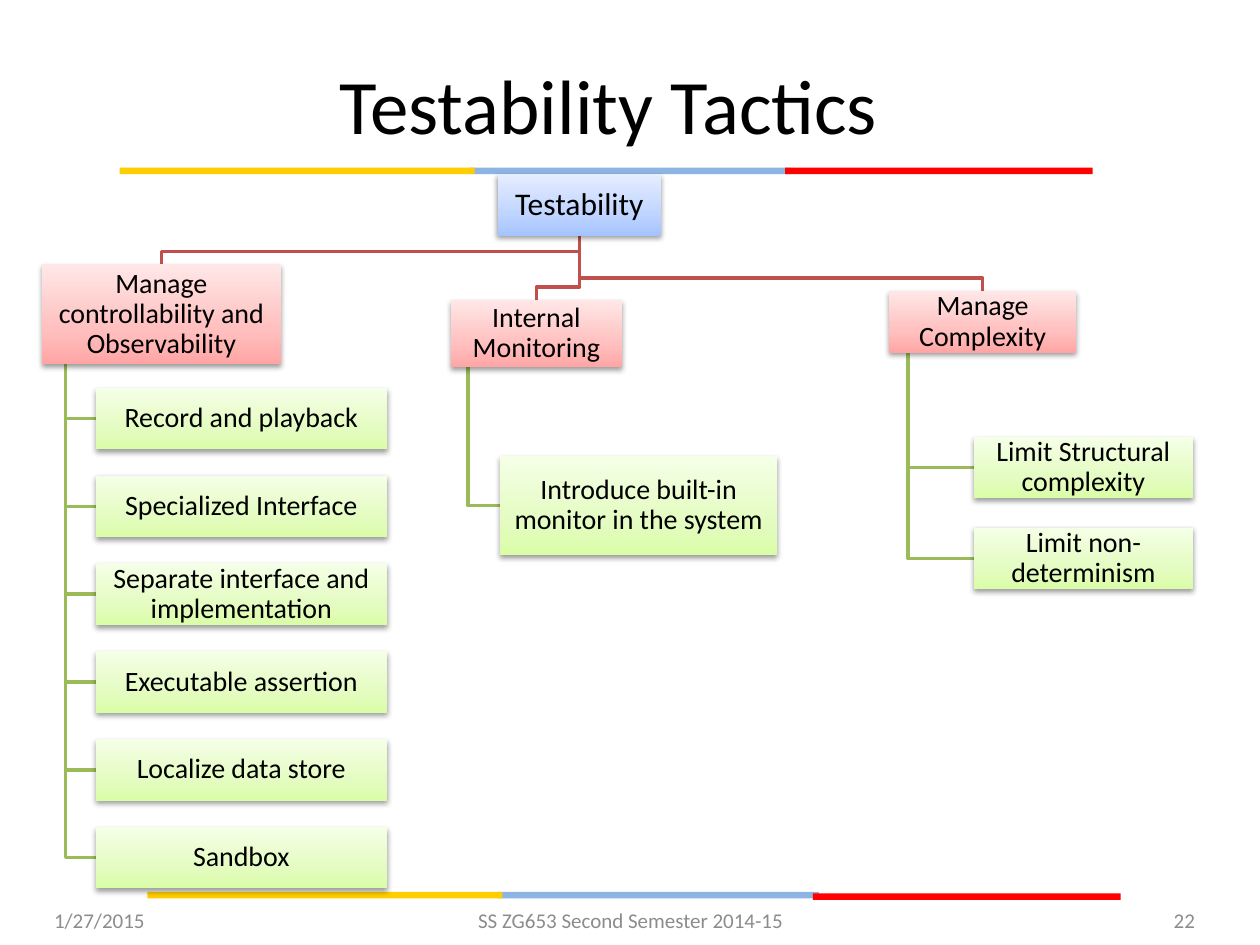
from lxml import etree
from pptx import Presentation
from pptx.dml.color import RGBColor
from pptx.enum.shapes import MSO_SHAPE
from pptx.enum.text import MSO_ANCHOR, PP_ALIGN
from pptx.util import Cm, Pt

RECT = MSO_SHAPE.RECTANGLE
MIDDLE = MSO_ANCHOR.MIDDLE
LEFT, CENTER, RIGHT = PP_ALIGN.LEFT, PP_ALIGN.CENTER, PP_ALIGN.RIGHT
NS = "http://schemas.openxmlformats.org/drawingml/2006/main"

BLUE = ("A4C4FF", "BFD4FF", "E6EEFF")
PINK = ("FFA6A5", "FFC0BF", "FFE7E7")
GREEN = ("DAFDA7", "E4FCC2", "F5FFE7")
BUS_GAP = 0.26

SHADOW = (f'<a:effectLst xmlns:a="{NS}"><a:outerShdw blurRad="40000" dist="20000" '
          'dir="5400000" rotWithShape="0"><a:srgbClr val="000000">'
          '<a:alpha val="38000"/></a:srgbClr></a:outerShdw></a:effectLst>')


def rgb(hex_colour):
    """Turn a hex string into a colour."""
    return RGBColor.from_string(hex_colour)


def gradient(colours):
    """Return a gradient fill that runs upwards through three colours."""
    stops = "".join(f'<a:gs pos="{pos}"><a:srgbClr val="{c}"/></a:gs>'
                    for pos, c in zip((0, 35000, 100000), colours))
    return etree.fromstring(
        f'<a:gradFill xmlns:a="{NS}" rotWithShape="1"><a:gsLst>{stops}</a:gsLst>'
        '<a:lin ang="16200000" scaled="0"/></a:gradFill>')


class Canvas:
    """Holds the style and the current slide; lengths are centimetres."""

    font = "Calibri"

    def __init__(self, slide):
        """Keep the slide to draw on."""
        self.shapes = slide.shapes

    def label(self, s, text, size, colour, align, spacing=1.0):
        """Set one vertically centred paragraph in a shape."""
        tf = s.text_frame
        tf.word_wrap = True
        tf.vertical_anchor = MIDDLE
        p = tf.paragraphs[0]
        p.alignment = align
        p.line_spacing = spacing
        r = p.add_run()
        r.text = text
        r.font.name = self.font
        r.font.size = Pt(size)
        r.font.color.rgb = rgb(colour)

    def text(self, box, text, size, colour, align):
        """Add a text box."""
        s = self.shapes.add_textbox(*map(Cm, box))
        self.label(s, text, size, colour, align)

    def bar(self, box, colour):
        """Add a plain coloured bar."""
        s = self.shapes.add_shape(RECT, *map(Cm, box))
        s.shadow.inherit = False
        s.fill.solid()
        s.fill.fore_color.rgb = rgb(colour)
        s.line.fill.background()

    def node(self, box, text, colours, size=16):
        """Add a shaded box with a label."""
        s = self.shapes.add_shape(RECT, *map(Cm, box))
        s._element.spPr.append(gradient(colours))
        s.line.fill.background()
        s._element.spPr.append(etree.fromstring(SHADOW))
        tf = s.text_frame
        tf.margin_left = tf.margin_right = tf.margin_top = tf.margin_bottom = Cm(0.03)
        self.label(s, text, size, "000000", CENTER, 0.9)

    def elbow(self, points, colour):
        """Add an open line through the points."""
        pts = [(Cm(x), Cm(y)) for x, y in points]
        fb = self.shapes.build_freeform(*pts[0])
        fb.add_line_segments(pts[1:], close=False)
        s = fb.convert_to_shape()
        s.shadow.inherit = False
        s.fill.background()
        s.line.color.rgb = rgb(colour)
        s.line.width = Pt(2)

    def branch(self, parent, child):
        """Link the bottom of a parent to the top of a child."""
        x, y = parent[0] + parent[2] / 2, parent[1] + parent[3]
        cx, cy = child[0] + child[2] / 2, child[1]
        bus = cy - BUS_GAP
        self.elbow([(x, y), (x, bus), (cx, bus), (cx, cy)], "C0504D")

    def hang(self, parent, child):
        """Link a parent to the left side of a child hanging below it."""
        x, y = parent[0] + parent[2] / 10, parent[1] + parent[3]
        cy = child[1] + child[3] / 2
        self.elbow([(x, y), (x, cy), (child[0], cy)], "9BBB59")


prs = Presentation()
prs.slide_width, prs.slide_height = Cm(25.4), Cm(19.05)
canvas = Canvas(prs.slides.add_slide(prs.slide_layouts[6]))

# Rules under the title and above the footer
for left, top, red_top in ((2.41, 3.38, 3.38), (2.97, 17.98, 18.01)):
    canvas.bar((left + 7.06, top, 6.48, 0.13), "8EB4E3")
    canvas.bar((left + 13.42, red_top, 6.2, 0.13), "FF0000")
    canvas.bar((left, top, 7.16, 0.13), "FFCE00")

canvas.text((0.84, 0.79, 22.86, 2.62), "Testability Tactics", 44, "000000", CENTER)
for left, width, label, align in (
        (0.84, 5.92, "1/27/2015", LEFT),
        (8.69, 8.05, "SS ZG653 Second Semester 2014-15", CENTER),
        (18.42, 5.92, "22", RIGHT)):
    canvas.text((left, 18.03, width, 1.02), label, 12, "8C8C8C", align)

# Tactic tree: group box, label, first leaf box, leaf pitch, leaf labels
root = (10.03, 3.51, 3.3, 1.24)
groups = [
    ((0.84, 5.33, 4.83, 2.01), "Manage controllability and Observability",
     (1.93, 7.82, 5.87, 1.24), 1.77,
     ["Record and playback", "Specialized Interface",
      "Separate interface and implementation", "Executable assertion",
      "Localize data store", "Sandbox"]),
    ((9.09, 6.05, 3.45, 1.35), "Internal Monitoring",
     (10.08, 9.19, 5.59, 2.01), 0,
     ["Introduce built-in monitor in the system"]),
    ((17.93, 5.87, 3.76, 1.24), "Manage Complexity",
     (19.63, 8.81, 4.42, 1.24), 1.83,
     ["Limit Structural complexity", "Limit non-determinism"]),
]
nodes = [(root, "Testability", BLUE, 18)]
for group, label, (x, y, w, h), pitch, leaves in groups:
    canvas.branch(root, group)
    nodes.append((group, label, PINK))
    for i, leaf in enumerate(leaves):
        box = (x, y + i * pitch, w, h)
        canvas.hang(group, box)
        nodes.append((box, leaf, GREEN))
for node in nodes:
    canvas.node(*node)

prs.save("out.pptx")
